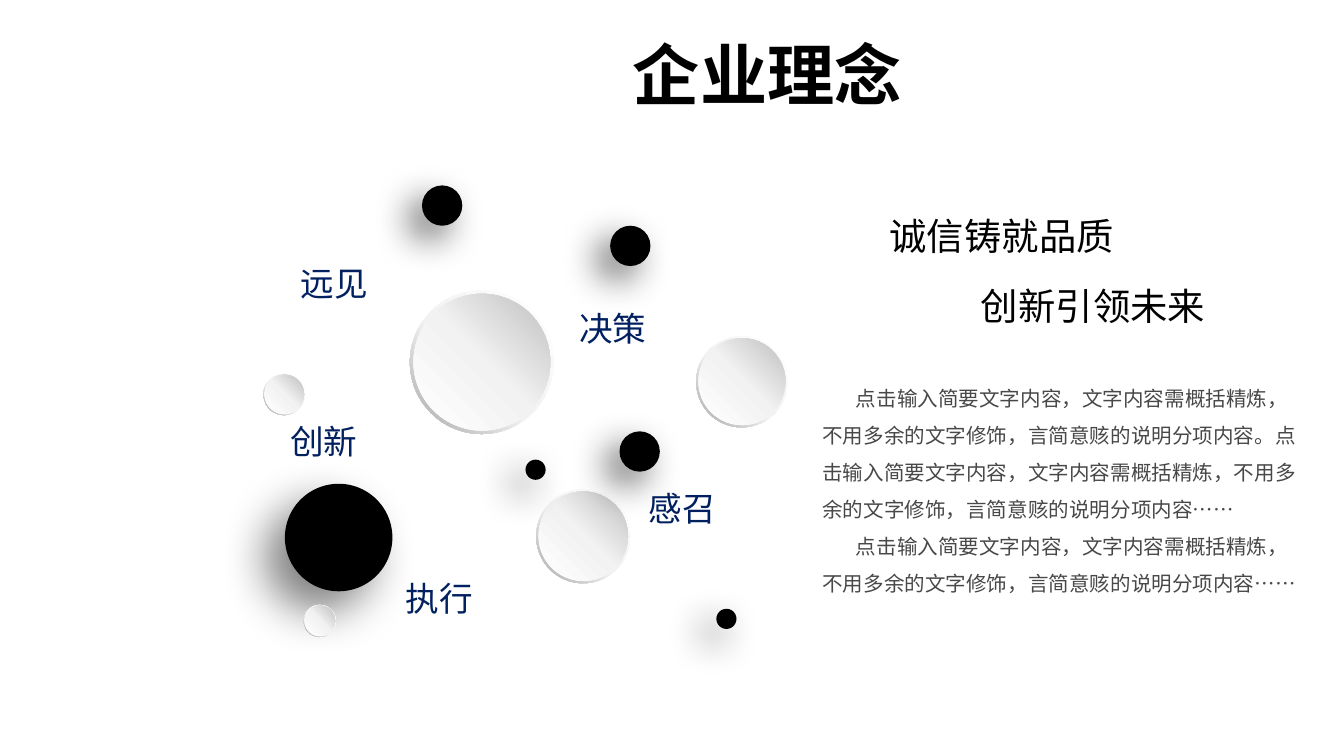
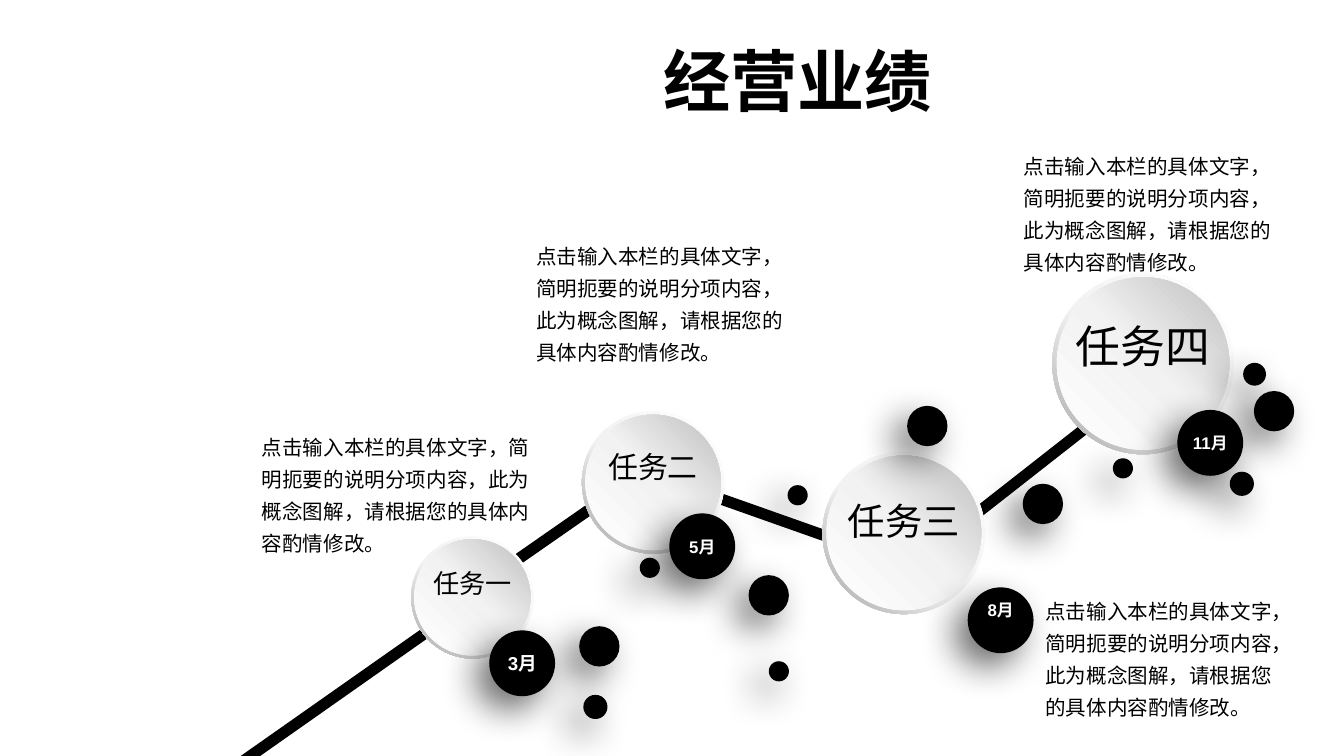
from itertools import pairwise

from lxml.etree import SubElement
from pptx import Presentation
from pptx.dml.color import RGBColor
from pptx.enum.shapes import MSO_CONNECTOR as CONN, MSO_SHAPE as SHAPE
from pptx.enum.text import MSO_AUTO_SIZE as AUTO, PP_ALIGN as ALIGN
from pptx.oxml.ns import qn
from pptx.util import Inches, Pt

SLIDE_W, SLIDE_H = Inches(10), Inches(5.625)
CELL = SLIDE_W / 100

BLACK = RGBColor(0x00, 0x00, 0x00)
WHITE = RGBColor(0xFF, 0xFF, 0xFF)
NAVY = RGBColor(0x00, 0x20, 0x60)
GREY = RGBColor(0x48, 0x48, 0x48)
PALE = RGBColor(0xF2, 0xF2, 0xF2)
SILVER = RGBColor(0xBF, 0xBF, 0xBF)
STEEL = RGBColor(0xA6, 0xA6, 0xA6)

FONT = "Arial"
RIM = 0.049
RIM_STOPS = [(0, WHITE), (55, PALE), (100, STEEL)]
FACE_STOPS = [(0, WHITE), (51, PALE), (100, SILVER)]
BADGE = 4.9

SENTENCE = "点击输入简要文字内容，文字内容需概括精炼，不用多余的文字修饰，言简意赅的说明分项内容"
IDEAS = [f"{SENTENCE}。{SENTENCE}……", f"{SENTENCE}……"]
TASK_NOTE = "点击输入本栏的具体文字，简明扼要的说明分项内容，此为概念图解，请根据您的具体内容酌情修改。"

SLOGANS = [("诚信铸就品质", 65.2, 15.4), ("创新引领未来", 72, 20.6)]
VALUES = [("远见", 21.4, 19.1), ("执行", 29.2, 42.5), ("感召", 47.3, 35.8),
          ("决策", 42.1, 22.4), ("创新", 20.6, 30.8)]
VALUE_DISCS = [(30.5, 21.6, 10.7), (51.8, 25, 6.8), (22.6, 45, 2.4),
               (19.6, 27.8, 3.1), (39.9, 36.4, 7)]
VALUE_DOTS = [(46.1, 32.1, 3), (45.4, 16.8, 3), (53.3, 45.3, 1.5),
              (31.4, 13.8, 3), (39.1, 34.2, 1.5)]

ROUTE_START = [(13.3, 60), (33.5, 45.8)]
ROUTE = [(33.1, 45.4), (47.9, 35.1), (67.7, 42.1), (87.6, 26.5)]
TASKS = [("任务一", 30.6, 39.9, 9.1, 1.8, 14), ("任务二", 43.3, 30.6, 10.6, 2.3, 16),
         ("任务三", 61.2, 33.6, 12.1, 3, 20), ("任务四", 78.3, 20.3, 13.5, 2.9, 24)]
NOTES = [(38.9, 17.1, 21.2), (18.5, 31.3, 22.8), (76.8, 43.5, 19.7), (75.2, 10.4, 21.4)]
MONTHS = [("3月", 36.4, 46.9, 1.6, 10), ("8月", 72, 43.7, 0.9, 9),
          ("5月", 49.8, 38.2, 1.7, 9), ("11月", 87.6, 30.5, 1.7, 9)]
TASK_DOTS = [(58.6, 36.1, 1.5), (55.7, 42.8, 3), (57.2, 49.2, 1.5), (43.1, 46.6, 3),
             (47.6, 41.5, 1.5), (76.1, 36, 3), (91.5, 35.1, 1.8), (82.8, 34.1, 1.5),
             (67.5, 30.2, 3), (93.3, 29.1, 3), (92.5, 27, 1.7), (43.4, 51.7, 1.8)]


def cells(*counts):
    return [round(n * CELL) for n in counts]


def add_text(s, lines, x, y, w, h, size, color=BLACK, bold=False, align=None,
             spacing=None, indent=0, wrap=True, inset=True):
    tf = s.shapes.add_textbox(*cells(x, y, w, h)).text_frame
    tf.word_wrap = wrap
    tf.auto_size = AUTO.SHAPE_TO_FIT_TEXT
    if not inset:
        tf.margin_left = tf.margin_right = tf.margin_top = tf.margin_bottom = 0
    tf.text = "\n".join(lines)
    for p in tf.paragraphs:
        p.alignment = align
        p.line_spacing = spacing
        if indent:
            p._p.get_or_add_pPr().set("indent", str(cells(indent)[0]))
        for r in p.runs:
            r.font.name, r.font.size, r.font.bold = FONT, Pt(size), bold
            r.font.color.rgb = color


def add_title(s, title, x, y, w):
    add_text(s, [title], x, y, w, 6.1, 36, bold=True, align=ALIGN.CENTER, inset=False)


def add_round(s, kind, x, y, size):
    sp = s.shapes.add_shape(kind, *cells(x, y, size, size))
    sp.line.fill.background()
    sp.shadow.inherit = False
    return sp


def set_gradient(sp, stops, angle):
    sp.fill.gradient()
    sp.fill.gradient_angle = angle
    stop_list = sp._element.spPr.find(".//" + qn("a:gsLst"))
    stop_list.clear()
    for share, color in stops:
        stop = SubElement(stop_list, qn("a:gs"), pos=str(share * 1000))
        SubElement(stop, qn("a:srgbClr"), val=str(color))


def add_disc(s, x, y, size):
    rim = add_round(s, SHAPE.DONUT, x, y, size)
    rim.adjustments[0] = RIM
    set_gradient(rim, RIM_STOPS, 225)
    inset = size * RIM / 2
    face = add_round(s, SHAPE.OVAL, x + inset, y + inset, size - 2 * inset)
    set_gradient(face, FACE_STOPS, 45)


def add_dot(s, x, y, size, alpha=60, blur=20, distance=10):
    sp = add_round(s, SHAPE.OVAL, x, y, size)
    sp.fill.solid()
    sp.fill.fore_color.rgb = BLACK
    effects = sp._element.spPr.find(qn("a:effectLst"))
    shadow = SubElement(effects, qn("a:outerShdw"), blurRad=str(Pt(blur)),
                        dist=str(Pt(distance)), dir=str(135 * 60000),
                        algn="tr", rotWithShape="0")
    color = SubElement(shadow, qn("a:srgbClr"), val=str(BLACK))
    SubElement(color, qn("a:alpha"), val=str(alpha * 1000))


def add_link(s, start, end):
    link = s.shapes.add_connector(CONN.STRAIGHT, *cells(*start, *end))
    link.line.color.rgb = BLACK
    link.line.width = Pt(6)
    SubElement(link._element.spPr, qn("a:effectLst"))


def add_task(s, name, x, y, size, drop, font_size):
    add_disc(s, x, y, size)
    add_text(s, [name], x, y + drop, size, font_size * 0.21, font_size,
             align=ALIGN.CENTER, wrap=False)


def add_month(s, name, x, y, drop, font_size):
    add_dot(s, x, y, BADGE)
    add_text(s, [name], x, y + drop, BADGE, 1.5, font_size, WHITE, bold=True,
             align=ALIGN.CENTER, inset=False)


def build_values(s):
    for slogan, x, y in SLOGANS:
        add_text(s, [slogan], x, y, 18.8, 4.4, 20, wrap=False)
    for value, x, y in VALUES:
        add_text(s, [value], x, y, 7.1, 4, 18, NAVY, wrap=False)
    add_dot(s, 21.2, 36, 8, alpha=50, blur=25, distance=15)
    for disc in VALUE_DISCS:
        add_disc(s, *disc)
    for dot in VALUE_DOTS:
        add_dot(s, *dot)
    add_text(s, IDEAS, 60.2, 27.3, 37.8, 20.4, 11, GREY, spacing=1.5, indent=2.5)
    add_title(s, "企业理念", 46.1, 2.5, 22)


def build_results(s):
    add_link(s, *ROUTE_START)
    for start, end in pairwise(ROUTE):
        add_link(s, start, end)
    for task in TASKS:
        add_task(s, *task)
    for x, y, w in NOTES:
        add_text(s, [TASK_NOTE], x, y, w, 10.6, 11, spacing=1.3)
    for month in MONTHS:
        add_month(s, *month)
    for dot in TASK_DOTS:
        add_dot(s, *dot)
    add_title(s, "经营业绩", 43.5, 2.9, 31.7)


def main():
    prs = Presentation()
    prs.slide_width, prs.slide_height = SLIDE_W, SLIDE_H
    for build in (build_values, build_results):
        build(prs.slides.add_slide(prs.slide_layouts[6]))
    prs.save("out.pptx")


if __name__ == "__main__":
    main()
